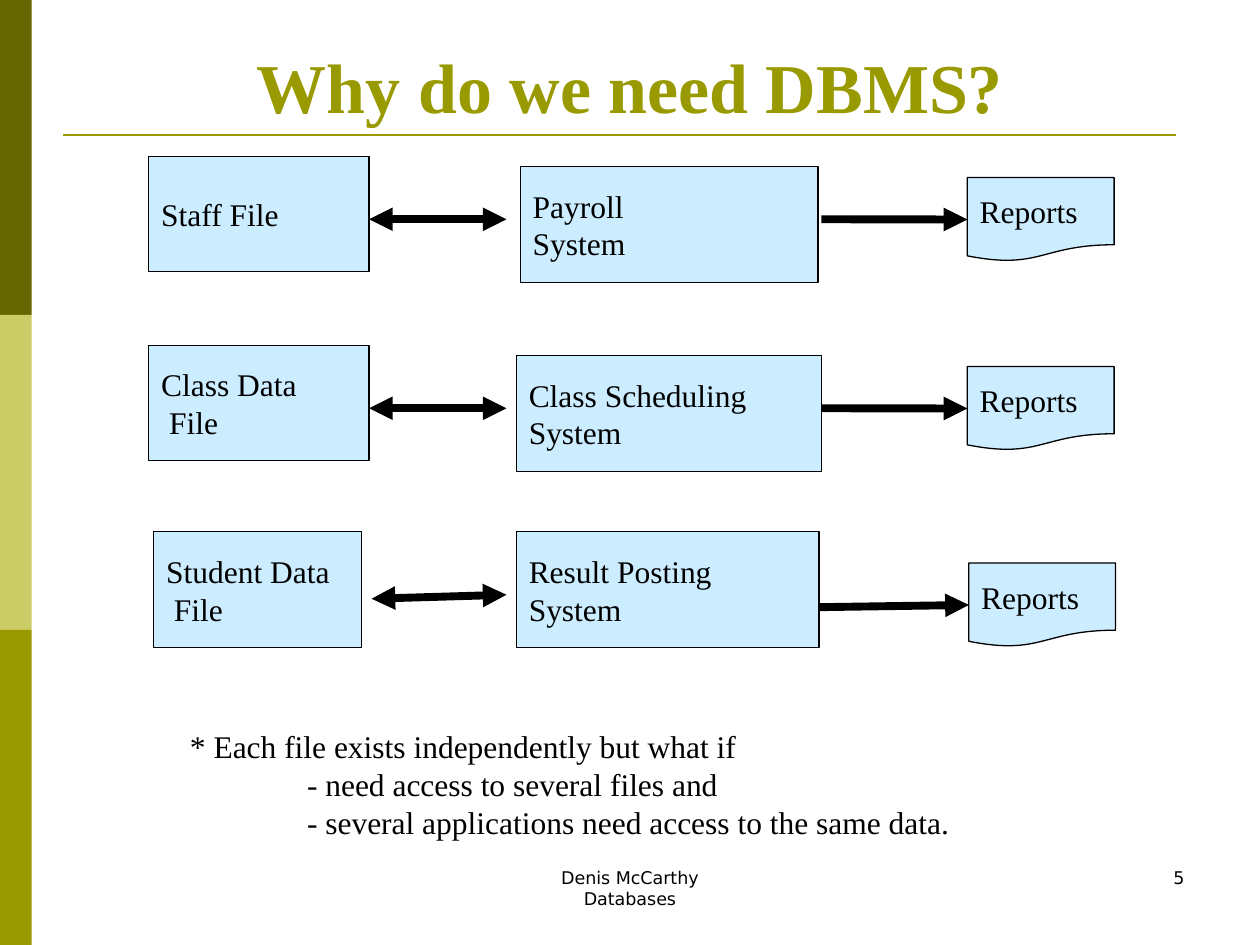
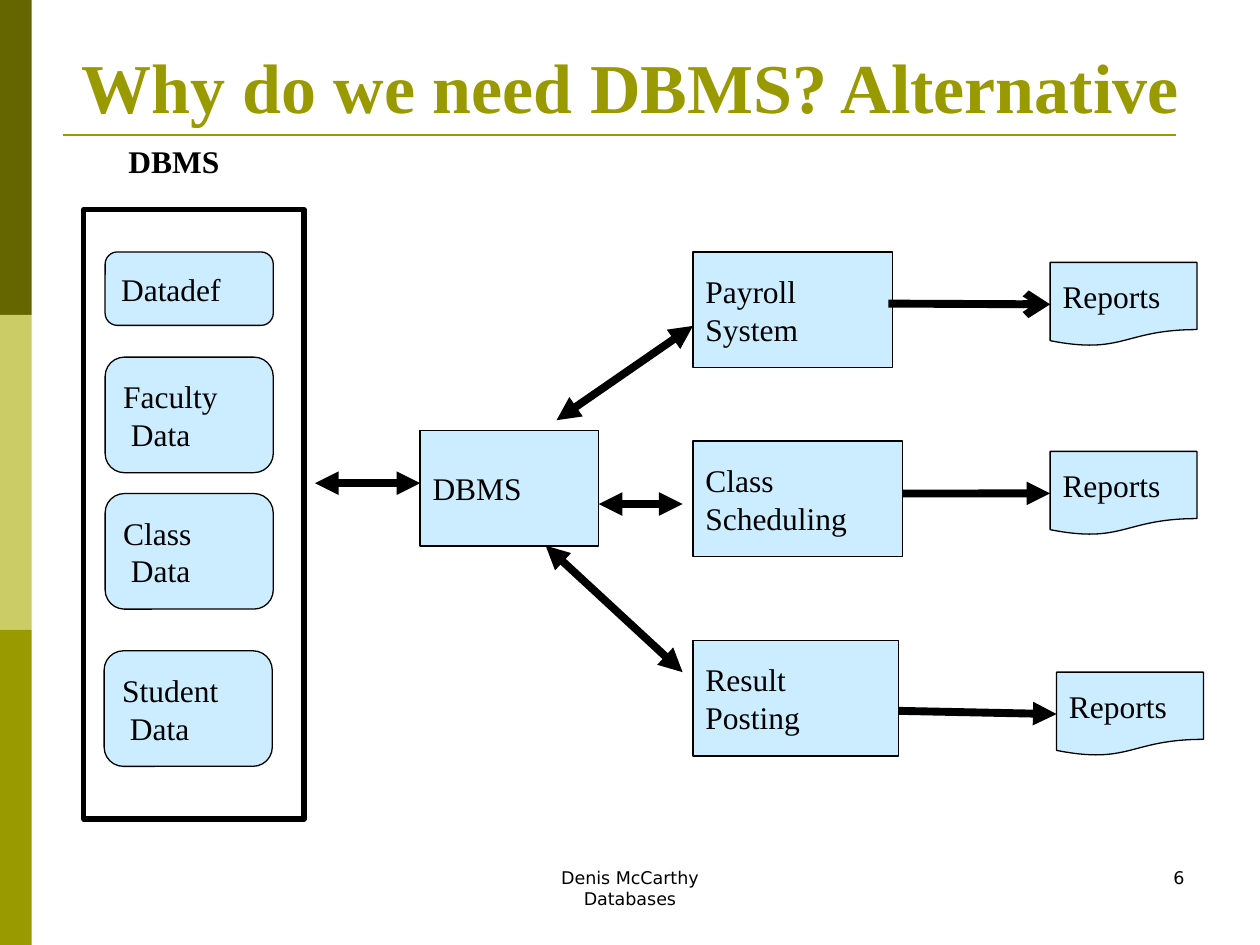
"""Builds two slides on why a DBMS is needed."""
from lxml import etree
from pptx import Presentation
from pptx.dml.color import RGBColor
from pptx.enum.shapes import MSO_CONNECTOR, MSO_SHAPE
from pptx.enum.text import MSO_ANCHOR, PP_ALIGN
from pptx.oxml.ns import qn
from pptx.util import Cm, Pt

RECT = MSO_SHAPE.RECTANGLE
PROC = MSO_SHAPE.FLOWCHART_PROCESS
DOC = MSO_SHAPE.FLOWCHART_DOCUMENT
STORE = MSO_SHAPE.FLOWCHART_ALTERNATE_PROCESS
LINE = MSO_CONNECTOR.STRAIGHT
LEFT, MID, RIGHT = PP_ALIGN.LEFT, PP_ALIGN.CENTER, PP_ALIGN.RIGHT
TOP, CENTER = MSO_ANCHOR.TOP, MSO_ANCHOR.MIDDLE

BLACK = RGBColor(0x00, 0x00, 0x00)
WHITE = RGBColor(0xFF, 0xFF, 0xFF)
SKY = RGBColor(0xCC, 0xEC, 0xFF)
OLIVE = RGBColor(0x99, 0x99, 0x00)
BANDS = [RGBColor(0x66, 0x66, 0x00), RGBColor(0xCC, 0xCC, 0x66), OLIVE]

SERIF, SANS = "Times New Roman", "DejaVu Sans"
WIDE, HIGH = 25.4, 19.05
TALL = 2.33
PAGE = (2.96, 1.69)
NEAR = 0.1
FOOTER = "Denis McCarthy\nDatabases"
BOTH, TO, OPEN = ("triangle", "triangle"), (None, "triangle"), (None, "arrow")

FILES = {
    "title": "Why do we need DBMS?",
    "number": "5",
    "boxes": [
        (PROC, "Staff File", 3, 3.15, 4.44, TALL),
        (PROC, "Payroll\nSystem", 10.49, 3.36, 6, TALL),
        (DOC, "Reports", 19.5, 3.58, *PAGE),
        (PROC, "Class Data\n File", 3, 6.96, 4.44, TALL),
        (PROC, "Class Scheduling\nSystem", 10.41, 7.17, 6.15, TALL),
        (DOC, "Reports", 19.5, 7.39, *PAGE),
        (PROC, "Student Data\n File", 3.1, 10.72, 4.19, TALL),
        (PROC, "Result Posting\nSystem", 10.41, 10.72, 6.1, TALL),
        (DOC, "Reports", 19.53, 11.35, *PAGE),
    ],
    "links": [
        (7.44, 4.42, 10.21, 4.42, BOTH),
        (16.56, 4.42, 19.5, 4.42, TO),
        (7.44, 8.23, 10.21, 8.23, BOTH),
        (16.56, 8.23, 19.5, 8.23, TO),
        (7.49, 12.07, 10.21, 11.99, BOTH),
        (16.51, 12.24, 19.46, 12.24, TO),
    ],
}

SHARED = {
    "title": "Why do we need DBMS? Alternative",
    "number": "6",
    "boxes": [
        (PROC, "Payroll\nSystem", 13.97, 5.08, 4.02, TALL),
        (DOC, "Reports", 21.17, 5.29, *PAGE),
        (PROC, "Class\nScheduling", 13.97, 8.89, 4.23, TALL),
        (DOC, "Reports", 21.17, 9.1, *PAGE),
        (PROC, "DBMS", 8.47, 8.68, 3.6, TALL),
        (PROC, "Result\nPosting", 13.97, 12.91, 4.14, TALL),
        (DOC, "Reports", 21.3, 13.55, *PAGE),
        (STORE, "Datadef", 2.12, 5.08, 3.39, 1.48),
        (STORE, "Faculty\n Data", 2.12, 7.2, 3.39, TALL),
        (STORE, "Class\n Data", 2.12, 9.95, 3.39, TALL),
        (STORE, "Student\n Data", 2.1, 13.12, 3.39, TALL),
    ],
    "links": [
        (11.22, 8.47, 13.97, 6.57, BOTH),
        (17.91, 6.12, 21.17, 6.14, OPEN),
        (18.2, 9.95, 21.17, 9.95, TO),
        (12.07, 10.16, 13.76, 10.16, BOTH),
        (18.12, 14.33, 21.38, 14.4, TO),
        (13.76, 13.55, 11, 11, BOTH),
        (6.35, 9.74, 8.47, 9.74, BOTH),
    ],
}

NOTE = (
    "* Each file exists independently but what if\n"
    "- need access to several files and\n"
    "- several applications need access to the same data."
)
STEPS = (1.27, 3.63, 3.63)


def write(shape, text, size=18, font=SERIF, color=BLACK, bold=False,
          align=LEFT, anchor=CENTER, steps=()):
    frame = shape.text_frame
    frame.text = text
    frame.word_wrap = True
    frame.vertical_anchor = anchor
    for para in frame.paragraphs:
        para.alignment = align
        face = para.font
        face.size, face.name, face.bold = Pt(size), font, bold
        face.color.rgb = color
    for para, step in zip(frame.paragraphs, steps):
        para._p.get_or_add_pPr().set("marL", str(Cm(step)))


def label(slide, text, x, y, w, h, **style):
    write(slide.shapes.add_textbox(Cm(x), Cm(y), Cm(w), Cm(h)), text, **style)


def block(slide, kind, x, y, w, h, fill, width=0):
    shape = slide.shapes.add_shape(kind, Cm(x), Cm(y), Cm(w), Cm(h))
    shape.shadow.inherit = False
    shape.fill.solid()
    shape.fill.fore_color.rgb = fill
    if width:
        shape.line.color.rgb = BLACK
        shape.line.width = Pt(width)
    else:
        shape.line.fill.background()
    return shape


def stroke(slide, x1, y1, x2, y2, color, width, heads=(None, None)):
    wire = slide.shapes.add_connector(LINE, Cm(x1), Cm(y1), Cm(x2), Cm(y2))
    wire.line.color.rgb = color
    wire.line.width = Pt(width)
    pen = wire.line._get_or_add_ln()
    for tag, head in zip(("a:headEnd", "a:tailEnd"), heads):
        if head:
            etree.SubElement(pen, qn(tag), type=head)
    etree.SubElement(wire._element.spPr, qn("a:effectLst"))
    return wire


def join(attach, x, y, spots):
    for shape, site, px, py in spots:
        if abs(px - x) < NEAR and abs(py - y) < NEAR:
            attach(shape, site)
            return


def start(deck, data):
    slide = deck.slides.add_slide(deck.slide_layouts[6])
    part = HIGH / len(BANDS)
    for i, color in enumerate(BANDS):
        block(slide, RECT, 0, i * part, 0.64, part, color)
    stroke(slide, 1.27, 2.72, 23.7, 2.72, OLIVE, 1.5)
    label(slide, data["title"], 1.27, 0.76, 22.86, 1.75, size=40,
          color=OLIVE, bold=True, align=MID, anchor=TOP)
    small = dict(size=10, font=SANS, anchor=TOP)
    label(slide, FOOTER, 8.68, 17.36, 8.04, 1.27, align=MID, **small)
    label(slide, data["number"], 18.2, 17.36, 5.93, 1.27, align=RIGHT, **small)
    return slide


def draw(slide, data):
    spots = []
    for kind, text, x, y, w, h in data["boxes"]:
        shape = block(slide, kind, x, y, w, h, SKY, 0.75)
        write(shape, text)
        spots += [(shape, 1, x, y + h / 2), (shape, 3, x + w, y + h / 2)]
    for x1, y1, x2, y2, heads in data["links"]:
        wire = stroke(slide, x1, y1, x2, y2, BLACK, 4.5, heads)
        join(wire.begin_connect, x1, y1, spots)
        join(wire.end_connect, x2, y2, spots)


def main():
    deck = Presentation()
    deck.slide_width, deck.slide_height = Cm(WIDE), Cm(HIGH)
    slide = start(deck, FILES)
    draw(slide, FILES)
    label(slide, NOTE, 2.31, 14.15, 22.2, 3.3, steps=STEPS)
    slide = start(deck, SHARED)
    block(slide, PROC, 1.69, 4.23, 4.44, 12.28, WHITE, 3)
    draw(slide, SHARED)
    label(slide, "DBMS", 2.34, 2.74, 2.95, 1.02, bold=True)
    deck.save("out.pptx")


if __name__ == "__main__":
    main()
